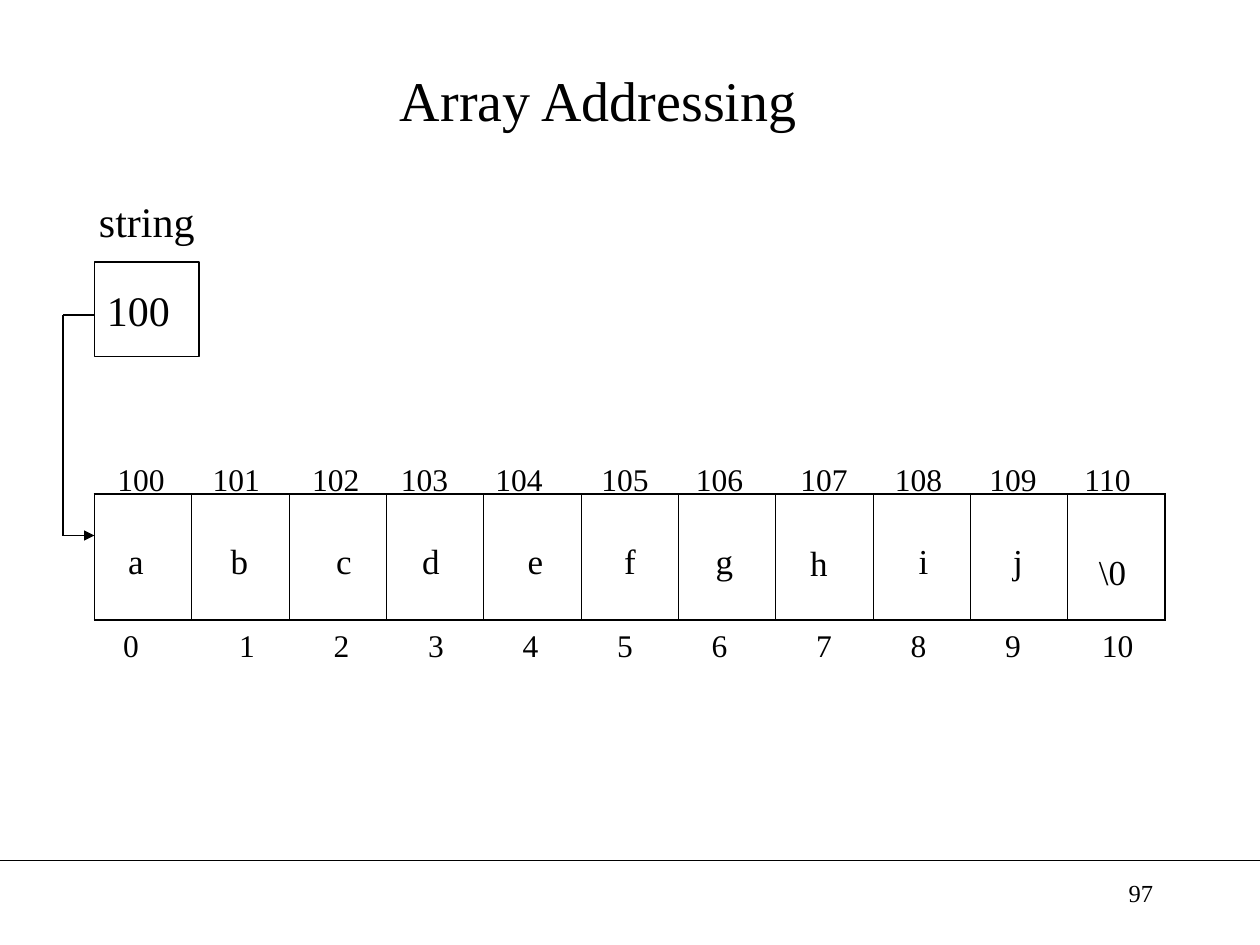
from dataclasses import dataclass

import pptx
import pptx.dml.color
import pptx.enum.shapes
import pptx.enum.text
import pptx.oxml
import pptx.oxml.ns
import pptx.util
from pptx.util import Inches

ALIGN = pptx.enum.text.PP_ALIGN
ANCHOR = pptx.enum.text.MSO_ANCHOR
FIT = pptx.enum.text.MSO_AUTO_SIZE


@dataclass(frozen=True)
class Theme:
    font: str = "Times New Roman"
    ink: str = "000000"
    title: int = 32
    variable: int = 24
    letter: int = 20
    label: int = 18
    page_number: int = 14
    line: float = 0.75
    outer_border: float = 1.08
    inner_border: float = 0.45


THEME = Theme()
INK = pptx.dml.color.RGBColor.from_string(THEME.ink)

CELLS = ["a", "b", "c", "d", "e", "f", "g", "h", "i", "j", "\\0"]
FIRST_ADDRESS = 100
ADDRESS_LEFTS = [0.83, 1.5, 2.33, 3.08, 3.83, 4.67, 5.42, 6.25, 7, 7.75, 8.5]
ADDRESS_WIDTHS = [0.58, 0.75, 0.67] + [0.58] * 8
LETTER_LEFTS = [0.83, 1.65, 2.48, 3.17, 4, 4.75, 5.5, 6.25, 7.08, 7.83, 8.58]
LETTER_TOPS = [4.23] * 7 + [4.25, 4.23, 4.23, 4.32]
INDEX_LEFTS = [0.75, 1.67, 2.42, 3.17, 3.92, 4.67, 5.42, 6.25, 7, 7.75, 8.58]


def write_text(shape, text, size, align, anchor):
    frame = shape.text_frame
    frame.word_wrap = True
    frame.vertical_anchor = anchor
    frame.text = text
    para = frame.paragraphs[0]
    para.alignment = align
    for span in para.runs:
        span.font.name = THEME.font
        span.font.size = pptx.util.Pt(size)
        span.font.color.rgb = INK


def add_text(page, text, left, top, width, height, size,
             align=ALIGN.CENTER, anchor=ANCHOR.TOP, fit=FIT.NONE):
    box = page.shapes.add_textbox(
        Inches(left), Inches(top), Inches(width), Inches(height))
    write_text(box, text, size, align, anchor)
    box.text_frame.auto_size = fit


def add_label(page, text, left, top, width, height, size):
    add_text(page, text, left, top, width, height, size,
             fit=FIT.SHAPE_TO_FIT_TEXT)


def add_line(page, start, end, arrow=False):
    line = page.shapes.add_connector(
        pptx.enum.shapes.MSO_CONNECTOR.STRAIGHT,
        *(Inches(value) for value in (*start, *end)))
    line.line.color.rgb = INK
    line.line.width = pptx.util.Pt(THEME.line)
    if arrow:
        outline = line.line._get_or_add_ln()
        outline.append(pptx.oxml.parse_xml(
            f'<a:tailEnd {pptx.oxml.ns.nsdecls("a")} type="triangle"/>'))
    line._element.spPr.append(pptx.oxml.parse_xml(
        f'<a:effectLst {pptx.oxml.ns.nsdecls("a")}/>'))


def add_variable(page, text, left, top, width, height):
    box = page.shapes.add_shape(
        pptx.enum.shapes.MSO_SHAPE.RECTANGLE,
        Inches(left), Inches(top), Inches(width), Inches(height))
    box.shadow.inherit = False
    box.fill.background()
    box.line.color.rgb = INK
    box.line.width = pptx.util.Pt(THEME.line)
    write_text(box, text, THEME.variable, ALIGN.LEFT, ANCHOR.MIDDLE)


def set_borders(cell, widths):
    properties = cell._tc.get_or_add_tcPr()
    for side, width in widths.items():
        properties.append(pptx.oxml.parse_xml(
            f'<a:ln{side} {pptx.oxml.ns.nsdecls("a")} '
            f'w="{int(pptx.util.Pt(width))}"><a:solidFill>'
            f'<a:srgbClr val="{THEME.ink}"/></a:solidFill></a:ln{side}>'))


def add_array(page, count, left, top, width, height):
    table = page.shapes.add_table(
        1, count, Inches(left), Inches(top),
        Inches(width), Inches(height)).table
    table.first_row = False
    table.horz_banding = False
    outer, inner = THEME.outer_border, THEME.inner_border
    for number, column in enumerate(table.columns):
        column.width = Inches(width / count)
        cell = table.cell(0, number)
        set_borders(cell, {
            "L": outer if number == 0 else inner,
            "R": outer if number == count - 1 else inner,
            "T": outer,
            "B": outer,
        })
        cell.fill.background()


def add_pointer(page):
    add_line(page, (0.5, 2.5), (0.5, 4.25))
    add_line(page, (0.5, 2.5), (0.75, 2.5))
    add_line(page, (0.5, 4.25), (0.75, 4.25), arrow=True)


def add_array_labels(page):
    for index, left in enumerate(INDEX_LEFTS):
        add_label(page, str(index), left, 4.92, 0.58, 0.4, THEME.label)
    for index, (left, width) in enumerate(zip(ADDRESS_LEFTS, ADDRESS_WIDTHS)):
        add_label(page, str(FIRST_ADDRESS + index), left, 3.6, width, 0.4,
                  THEME.label)
    for letter, left, top in zip(CELLS, LETTER_LEFTS, LETTER_TOPS):
        add_label(page, letter, left, top, 0.5, 0.44, THEME.letter)


def main():
    deck = pptx.Presentation()
    deck.slide_width = Inches(10)
    deck.slide_height = Inches(7.5)
    page = deck.slides.add_slide(deck.slide_layouts[6])

    add_line(page, (0, 6.83), (10, 6.83))
    add_text(page, "Array Addressing", 0.5, 0.25, 8.5, 1.08, THEME.title,
             anchor=ANCHOR.MIDDLE)
    add_array(page, len(CELLS), 0.75, 3.92, 8.5, 1)
    add_label(page, "string", 0.5, 1.5, 1.33, 0.5, THEME.variable)
    add_variable(page, str(FIRST_ADDRESS), 0.75, 2.08, 0.83, 0.75)
    add_pointer(page)
    add_array_labels(page)
    add_text(page, "97", 7.17, 6.92, 2.08, 0.5, THEME.page_number,
             align=ALIGN.RIGHT)
    deck.save("out.pptx")


if __name__ == "__main__":
    main()
